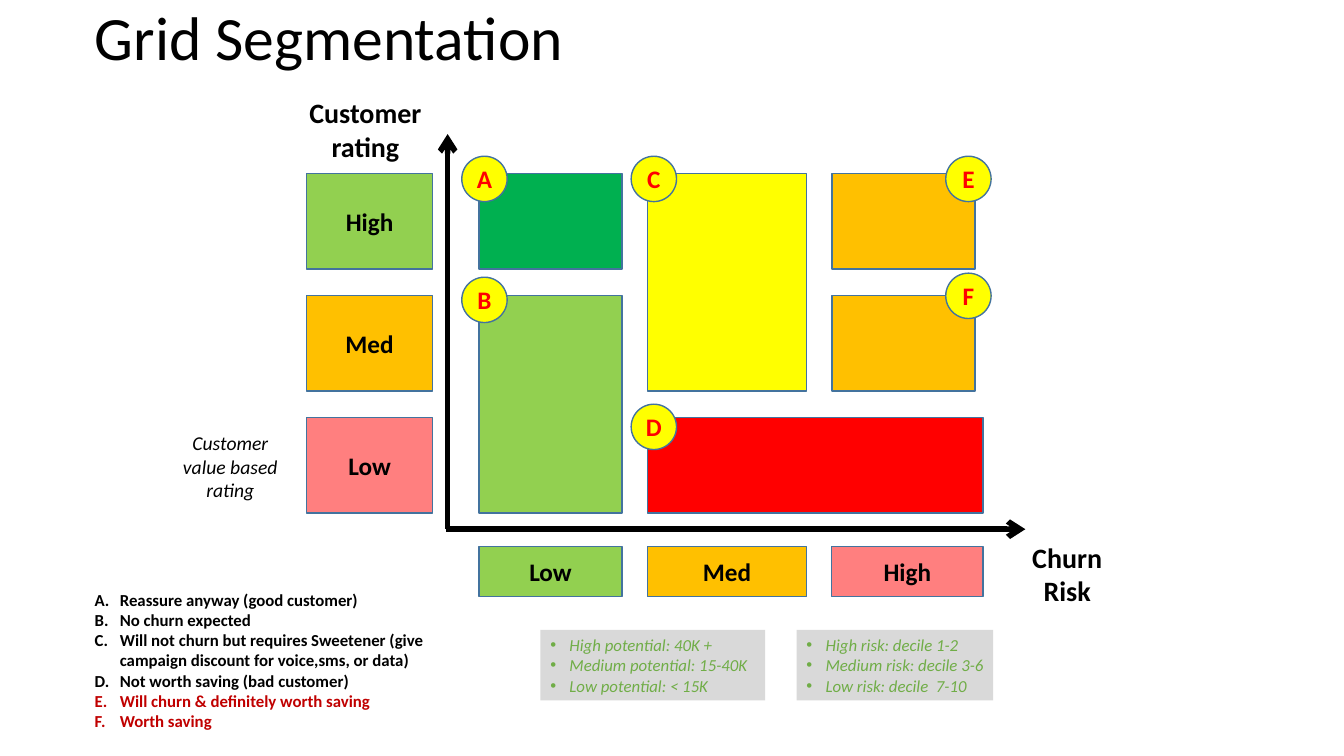
"""Build the grid segmentation slide."""
from dataclasses import dataclass

from lxml import etree
from pptx import Presentation
from pptx.dml.color import RGBColor
from pptx.enum.shapes import MSO_CONNECTOR, MSO_SHAPE
from pptx.enum.text import MSO_ANCHOR, MSO_AUTO_SIZE, PP_ALIGN
from pptx.oxml.ns import qn
from pptx.util import Inches, Pt

RECT, OVAL = MSO_SHAPE.RECTANGLE, MSO_SHAPE.OVAL
LINE = MSO_CONNECTOR.STRAIGHT
LEFT, MID = PP_ALIGN.LEFT, PP_ALIGN.CENTER
TOP, MIDDLE = MSO_ANCHOR.TOP, MSO_ANCHOR.MIDDLE
GROW = MSO_AUTO_SIZE.SHAPE_TO_FIT_TEXT


@dataclass(frozen=True)
class Theme:
    """Hold the colours and type sizes."""
    face: str = "Calibri"
    sign: str = "Arial"
    black: str = "000000"
    edge: str = "43739E"
    lime: str = "92D050"
    green: str = "00B050"
    amber: str = "FFC000"
    yellow: str = "FFFF00"
    red: str = "FF0000"
    dark: str = "C00000"
    grey: str = "D9D9D9"
    leaf: str = "70AD47"
    head: int = 44
    axis: int = 20
    label: int = 18
    note: int = 14
    small: int = 12


T = Theme()
COLS = [(4.75, 1.42), (6.42, 1.58), (8.25, 1.5)]
ROW_TOP, ROW_STEP, ROW_HIGH = 1.72, 1.21, 0.95
DOT = 0.45
LEVELS = [("Low", T.lime, 0), ("Med", T.amber, 0), ("High", T.red, 50)]
RATINGS = [("High", T.lime, 0), ("Med", T.amber, 0), ("Low", T.red, 50)]
CELLS = [
    (4.75, 1, 1.42, 2, T.lime),
    (6.42, 2, 3.33, 1, T.red),
    (6.42, 0, 1.58, 2, T.yellow),
    (8.25, 0, 1.42, 1, T.amber),
    (8.25, 1, 1.42, 1, T.amber),
    (4.75, 0, 1.42, 1, T.green),
]
DOTS = [("A", 4.58, 1.55), ("B", 4.58, 2.75), ("C", 6.26, 1.55),
        ("D", 6.26, 4.01), ("E", 9.38, 1.55), ("F", 9.38, 2.71)]
ACTIONS = [
    "Reassure anyway (good customer)",
    "No churn expected",
    "Will not churn but requires Sweetener (give campaign discount "
    "for voice,sms, or data)",
    "Not worth saving (bad customer)",
    "Will churn & definitely worth saving",
    "Worth saving",
]
NOTES = [
    ((7.9, 6.25, 1.95, 0.7), False,
     ["High risk: decile 1-2", "Medium risk: decile 3-6",
      "Low risk: decile  7-10"]),
    ((5.36, 6.25, 2.23, 0.7), True,
     ["High potential: 40K +", "Medium potential: 15-40K",
      "Low potential: < 15K"]),
]
BULLET = (0.19, [("buFont", {"typeface": T.sign}), ("buChar", {"char": "•"})])
LETTER = (0.25, [("buAutoNum", {"type": "alphaUcPeriod"})])


def apply(item, form):
    """Set each format value on an item."""
    for name, value in form.items():
        setattr(item, name, value)


def box(at):
    """Turn a list of inches into lengths."""
    return [Inches(n) for n in at]


def mark(par, bullet):
    """Give a paragraph a hanging list mark."""
    dent, parts = bullet
    props = par._p.get_or_add_pPr()
    props.set("marL", str(Inches(dent)))
    props.set("indent", str(-Inches(dent)))
    for tag, attrs in parts:
        etree.SubElement(props, qn("a:" + tag), attrs)


def write(shape, lines, size, color=T.black, align=MID, bullet=None,
          frame=None, **font):
    """Write styled paragraphs into a shape."""
    text = shape.text_frame
    apply(text, {"word_wrap": True, **(frame or {})})
    text.text = "\n".join(lines)
    for par in text.paragraphs:
        par.alignment = align
        apply(par.font, {"name": T.face, "size": Pt(size), **font})
        par.font.color.rgb = RGBColor.from_string(color)
        if bullet:
            mark(par, bullet)
    return text


def block(slide, kind, at, fill, edge=T.edge, clear=0):
    """Add a filled shape with an optional outline."""
    shape = slide.shapes.add_shape(kind, *box(at))
    shape.shadow.inherit = False
    shape.fill.solid()
    shape.fill.fore_color.rgb = RGBColor.from_string(fill)
    if clear:
        tint = shape._element.xpath("./p:spPr/a:solidFill/a:srgbClr")[0]
        etree.SubElement(tint, qn("a:alpha"), val=str(clear * 1000))
    if edge:
        shape.line.color.rgb = RGBColor.from_string(edge)
        shape.line.width = Pt(1)
    else:
        shape.line.fill.background()
    return shape


def label(slide, at, lines, size, **style):
    """Add a text box that grows with its text."""
    shape = slide.shapes.add_textbox(*box(at))
    return write(shape, lines, size, frame={"auto_size": GROW}, **style)


def badge(slide, name, left, top):
    """Add a lettered round badge."""
    shape = block(slide, OVAL, (left, top, DOT, DOT), T.yellow)
    frame = dict.fromkeys(("margin_left", "margin_right",
                           "margin_top", "margin_bottom"), 0)
    write(shape, [name], T.label, T.red, bold=True,
          frame={**frame, "vertical_anchor": MIDDLE})


def arrow(slide, ends):
    """Add a thick axis with an arrowhead."""
    axis = slide.shapes.add_connector(LINE, *box(ends))
    axis.line.color.rgb = RGBColor.from_string(T.black)
    axis.line.width = Pt(4)
    props = axis._element.spPr
    etree.SubElement(props.find(qn("a:ln")), qn("a:tailEnd"), type="arrow")
    etree.SubElement(props, qn("a:effectLst"))


def level(slide, at, name, fill, clear):
    """Add a named level on an axis."""
    shape = block(slide, RECT, at, fill, clear=clear)
    write(shape, [name], T.label, bold=True,
          frame={"vertical_anchor": MIDDLE})


def title(slide, words):
    """Place and format the title."""
    shape = slide.shapes.title
    apply(shape, dict(zip(("left", "top", "width", "height"),
                          box((0.84, 0, 11.5, 0.8)))))
    text = write(shape, [words], T.head, align=LEFT,
                 frame={"vertical_anchor": MIDDLE})
    text.paragraphs[0].line_spacing = 0.9


def grid(slide):
    """Draw the axes, levels, cells and badges."""
    arrow(slide, (4.42, 5.25, 10.17, 5.25))
    arrow(slide, (4.44, 5.25, 4.44, 1.33))
    for row, rating in enumerate(RATINGS):
        top = ROW_TOP + row * ROW_STEP
        level(slide, (3.04, top, 1.25, ROW_HIGH), *rating)
    for (left, wide), risk in zip(COLS, LEVELS):
        level(slide, (left, 5.42, wide, 0.5), *risk)
    for left, row, wide, span, fill in CELLS:
        high = ROW_HIGH + (span - 1) * ROW_STEP
        block(slide, RECT, (left, ROW_TOP + row * ROW_STEP, wide, high), fill)
    for dot in DOTS:
        badge(slide, *dot)


def main():
    """Build and save the slide."""
    deck = Presentation()
    apply(deck, {"slide_width": Inches(13.33), "slide_height": Inches(7.5)})
    slide = deck.slides.add_slide(deck.slide_layouts[5])
    title(slide, "Grid Segmentation")
    grid(slide)
    label(slide, (10, 5.31, 1.17, 0.77), ["Churn Risk"], T.axis, bold=True)
    label(slide, (2.96, 0.9, 1.33, 0.77), ["Customer rating"], T.axis,
          bold=True)
    label(slide, (1.62, 4.23, 1.33, 0.8), ["Customer value based", "rating"],
          T.note, italic=True)
    key = label(slide, (0.84, 5.8, 3.91, 1.51), ACTIONS, T.small, align=LEFT,
                bullet=LETTER, bold=True)
    for par in key.paragraphs[-2:]:
        par.font.color.rgb = RGBColor.from_string(T.dark)
    for at, wrap, lines in NOTES:
        note = block(slide, RECT, at, T.grey, edge=None)
        write(note, lines, T.small, T.leaf, LEFT, BULLET, italic=True,
              frame={"word_wrap": wrap, "auto_size": GROW,
                     "vertical_anchor": TOP, "margin_right": Inches(0.02)})
    deck.save("out.pptx")


main()
